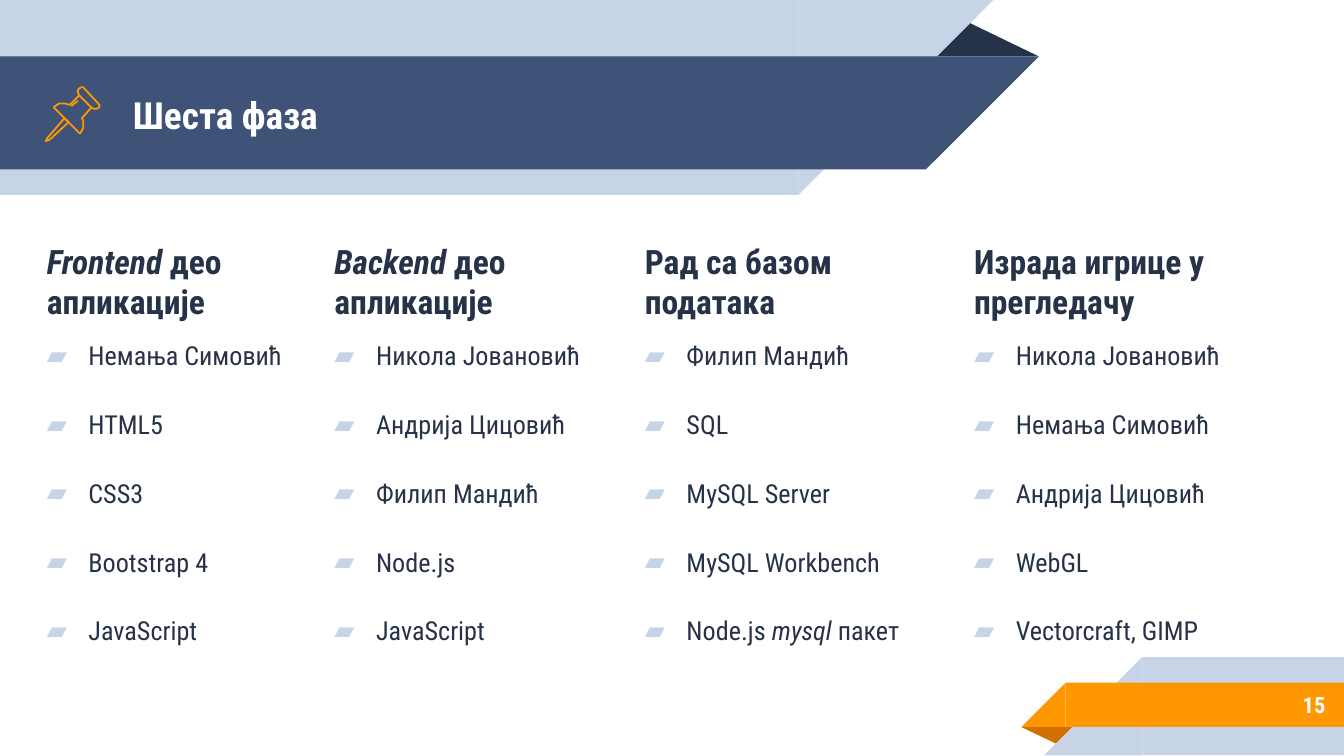
from dataclasses import dataclass

from lxml.etree import SubElement
from pptx import Presentation
from pptx.dml.color import RGBColor
from pptx.enum.shapes import MSO_SHAPE
from pptx.enum.text import MSO_ANCHOR, PP_ALIGN
from pptx.oxml.ns import qn
from pptx.util import Inches, Pt


@dataclass(frozen=True)
class Theme:
    font: str = "Roboto Condensed"
    dark: str = "263248"
    navy: str = "3F5378"
    pale: str = "C7D3E6"
    orange: str = "FF9800"
    rust: str = "D26F00"
    white: str = "FFFFFF"
    title: int = 20
    heading: int = 18
    body: int = 14
    number: int = 12
    icon_line: float = 0.96


@dataclass(frozen=True)
class Band:
    left: float
    top: float
    width: float
    height: float
    slant_left: float
    color: str
    rotation: int = 0


@dataclass(frozen=True)
class Fold:
    left: float
    top: float
    width: float
    height: float
    color: str
    rotation: int = 0


@dataclass(frozen=True)
class Column:
    left: float
    heading: str
    items: tuple[str, ...]


@dataclass(frozen=True)
class Outline:
    points: tuple[tuple[int, int], ...]
    closed: bool = False


T = Theme()

RIBBONS = (
    Fold(6.88, 0.14, 0.85, 0.28, T.dark),
    Band(0, 0, 5.94, 1.45, 5.94, T.pale, 180),
    Band(0, 0.42, 6.89, 0.84, 6.89, T.navy, 180),
    Fold(7.6, 5.41, 0.43, 0.14, T.rust, 180),
    Band(8.5, 4.89, 1.5, 0.73, 7.77, T.pale),
    Band(7.93, 5.08, 2.08, 0.33, 7.6, T.orange),
)

COLUMNS = (
    Column(0.25, "*Frontend *део апликације",
           ("Немања Симовић", "HTML5", "CSS3", "Bootstrap 4", "JavaScript")),
    Column(2.39, "*Backend *део апликације",
           ("Никола Јовановић", "Андрија Цицовић", "Филип Мандић", "Node.js", "JavaScript")),
    Column(4.7, "Рад са базом података",
           ("Филип Мандић", "SQL", "MySQL Server", "MySQL Workbench", "Node.js *mysql *пакет")),
    Column(7.15, "Израда игрице у прегледачу",
           ("Никола Јовановић", "Немања Симовић", "Андрија Цицовић", "WebGL", "Vectorcraft, GIMP")),
)

PUSHPIN = (
    Outline(((48, 88), (35, 103), (34, 105), (37, 104), (51, 91)), True),
    Outline(((59, 71), (68, 80), (70, 81), (72, 81), (74, 80), (74, 78),
             (62, 65), (60, 65), (59, 66), (58, 67), (58, 69)), True),
    Outline(((59, 71), (52, 78), (48, 77), (44, 77), (41, 79), (40, 80), (41, 81),
             (58, 98), (59, 99), (60, 99), (61, 97), (62, 95), (62, 90), (61, 88), (68, 80))),
    Outline(((53, 79), (58, 75))),
)


def rgb(color: str) -> RGBColor:
    return RGBColor.from_string(color)


def add_block(s, kind: MSO_SHAPE, left: float, top: float, width: float, height: float,
              color: str, rotation: int, flip: bool):
    sp = s.shapes.add_shape(kind, Inches(left), Inches(top), Inches(width), Inches(height))
    sp.shadow.inherit = False
    sp.fill.solid()
    sp.fill.fore_color.rgb = rgb(color)
    sp.line.fill.background()
    sp.rotation = rotation
    if flip:
        sp._element.spPr.find(qn("a:xfrm")).set("flipH", "1")
    return sp


def add_band(s, band: Band) -> None:
    add_block(s, MSO_SHAPE.RECTANGLE, band.left, band.top, band.width, band.height,
              band.color, band.rotation, True)
    add_block(s, MSO_SHAPE.RIGHT_TRIANGLE, band.slant_left, band.top, band.height, band.height,
              band.color, band.rotation, True)


def add_fold(s, fold: Fold) -> None:
    sp = add_block(s, MSO_SHAPE.ISOSCELES_TRIANGLE, fold.left, fold.top, fold.width,
                   fold.height, fold.color, fold.rotation, False)
    sp.adjustments[0] = 0.32


def add_outline(s, outline: Outline) -> None:
    start, *rest = outline.points
    builder = s.shapes.build_freeform(*start, scale=Inches(0.01))
    builder.add_line_segments(rest, close=outline.closed)
    sp = builder.convert_to_shape()
    sp.shadow.inherit = False
    sp.fill.background()
    sp.line.color.rgb = rgb(T.orange)
    sp.line.width = Pt(T.icon_line)


def add_text_frame(s, left: float, top: float, width: float, height: float,
                   anchor: MSO_ANCHOR):
    tf = s.shapes.add_textbox(Inches(left), Inches(top), Inches(width), Inches(height)).text_frame
    tf.word_wrap = True
    tf.vertical_anchor = anchor
    tf.margin_left = tf.margin_right = tf.margin_top = tf.margin_bottom = Inches(0.1)
    return tf


def write(p, text: str, size: int, color: str, bold: bool) -> None:
    for i, part in enumerate(text.split("*")):
        if part:
            r = p.add_run()
            r.text = part
            r.font.name = T.font
            r.font.size = Pt(size)
            r.font.bold = bold
            r.font.italic = i % 2 == 1
            r.font.color.rgb = rgb(color)


def add_bullet(p) -> None:
    p.space_before = p.space_after = Pt(10)
    pPr = p._p.get_or_add_pPr()
    pPr.set("marL", str(Inches(0.31)))
    pPr.set("indent", str(-Inches(0.31)))
    SubElement(SubElement(pPr, qn("a:buClr")), qn("a:srgbClr")).set("val", T.pale)
    SubElement(pPr, qn("a:buFont")).set("typeface", T.font)
    SubElement(pPr, qn("a:buChar")).set("char", "▰")


def add_column(s, column: Column) -> None:
    tf = add_text_frame(s, column.left, 1.69, 2.46, 2.96, MSO_ANCHOR.TOP)
    write(tf.paragraphs[0], column.heading, T.heading, T.dark, True)
    for item in column.items:
        p = tf.add_paragraph()
        add_bullet(p)
        write(p, item, T.body, T.dark, False)


def main() -> None:
    prs = Presentation()
    prs.slide_width = Inches(10)
    prs.slide_height = prs.slide_width * 9 // 16
    s = prs.slides.add_slide(prs.slide_layouts[6])

    for ribbon in RIBBONS:
        if isinstance(ribbon, Band):
            add_band(s, ribbon)
        else:
            add_fold(s, ribbon)

    title = add_text_frame(s, 0.89, 0.43, 5.75, 0.84, MSO_ANCHOR.MIDDLE)
    write(title.paragraphs[0], "Шеста фаза", T.title, T.white, True)

    number = add_text_frame(s, 8.33, 5.07, 1.63, 0.35, MSO_ANCHOR.MIDDLE)
    number.paragraphs[0].alignment = PP_ALIGN.RIGHT
    write(number.paragraphs[0], "15", T.number, T.white, True)

    for outline in PUSHPIN:
        add_outline(s, outline)
    for column in COLUMNS:
        add_column(s, column)

    prs.save("out.pptx")


if __name__ == "__main__":
    main()
